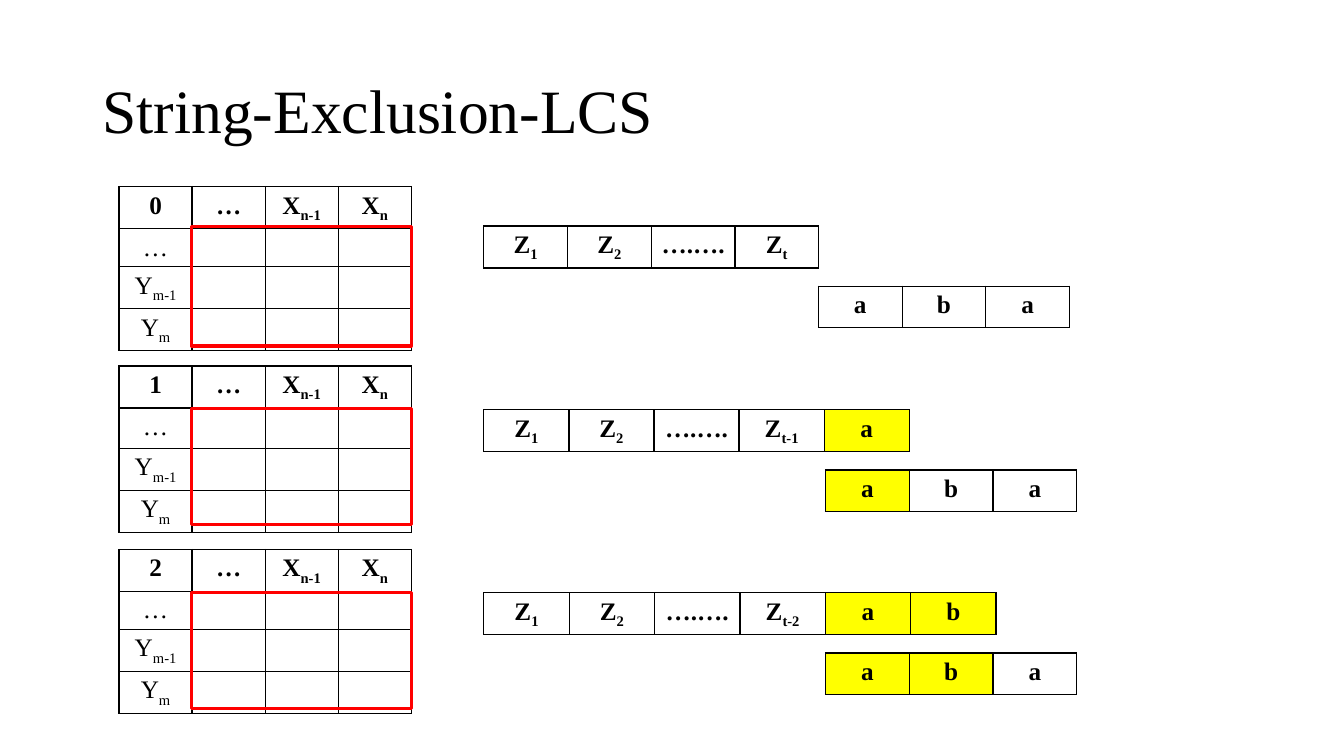
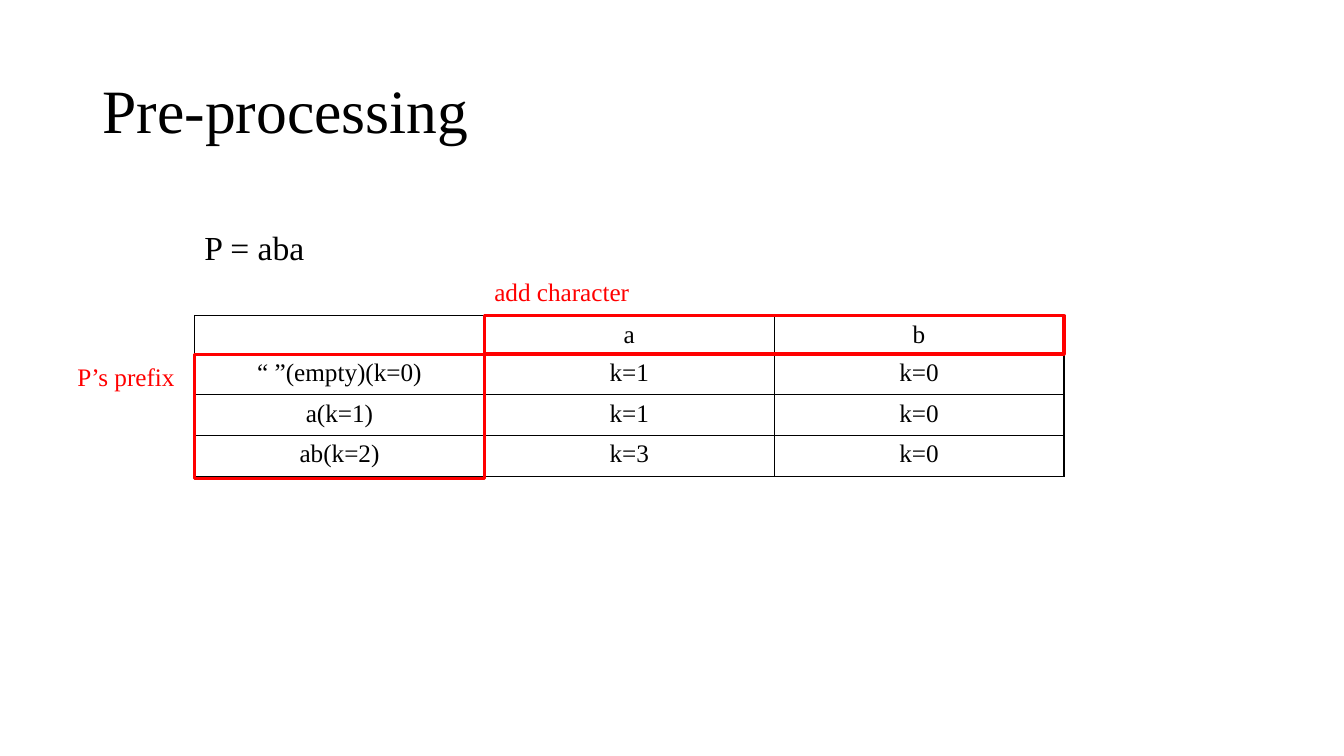
from dataclasses import dataclass

from lxml.etree import SubElement
from pptx import Presentation
from pptx.dml.color import RGBColor
from pptx.enum.shapes import MSO_SHAPE as SHAPE
from pptx.enum.text import MSO_ANCHOR as ANCHOR, MSO_AUTO_SIZE as AUTO, PP_ALIGN as ALIGN
from pptx.oxml.ns import qn
from pptx.util import Pt


@dataclass(frozen=True)
class Theme:
    font: str = "Times New Roman"
    ink: RGBColor = RGBColor(0, 0, 0)
    accent: RGBColor = RGBColor(255, 0, 0)
    match: RGBColor = RGBColor(255, 255, 0)
    title: int = 44
    lead: int = 24
    body: int = 18


class Deck:
    def __init__(self, theme):
        self.theme = theme
        self.prs = Presentation()
        self.prs.slide_width, self.prs.slide_height = Pt(960), Pt(540)
        self.s = None

    def slide(self, title):
        self.s = self.prs.slides.add_slide(self.prs.slide_layouts[5])
        sp = self.s.shapes.title
        sp.left, sp.top, sp.width, sp.height = Pt(66), Pt(28.8), Pt(828), Pt(104.4)
        tf = sp.text_frame
        tf.auto_size, tf.vertical_anchor = AUTO.NONE, ANCHOR.MIDDLE
        p = tf.paragraphs[0]
        p.alignment, p.line_spacing = ALIGN.LEFT, 0.9
        self.runs(p, title, self.theme.title)

    def runs(self, p, text, size, color=None, bold=False):
        """Write text into p; whatever follows an underscore is a subscript."""
        base, _, sub = text.partition("_")
        for part, shift in ((base, None), (sub, "-25000")):
            if part:
                r = p.add_run()
                r.text = part
                r.font.name, r.font.size, r.font.bold = self.theme.font, Pt(size), bold
                r.font.color.rgb = color or self.theme.ink
                if shift:
                    r._r.get_or_add_rPr().set("baseline", shift)

    def label(self, x, y, w, h, text, size, color=None):
        tf = self.s.shapes.add_textbox(Pt(x), Pt(y), Pt(w), Pt(h)).text_frame
        tf.word_wrap, tf.auto_size = False, AUTO.SHAPE_TO_FIT_TEXT
        self.runs(tf.paragraphs[0], text, size, color)

    def frame(self, x, y, w, h):
        sp = self.s.shapes.add_shape(SHAPE.RECTANGLE, Pt(x), Pt(y), Pt(w), Pt(h))
        sp.shadow.inherit = False
        sp.fill.background()
        sp.line.color.rgb, sp.line.width = self.theme.accent, Pt(2.25)

    def borders(self, cell):
        tcPr = cell._tc.get_or_add_tcPr()
        for side in ("lnL", "lnR", "lnT", "lnB"):
            ln = SubElement(tcPr, qn(f"a:{side}"), w=str(Pt(1)))
            fill = SubElement(ln, qn("a:solidFill"))
            SubElement(fill, qn("a:srgbClr"), val=str(self.theme.ink))

    def table(self, x, y, col_w, heights, rows, bold_head=False, marked=()):
        """Draw a ruled table; marked holds the columns with a highlight."""
        n = len(rows[0])
        tbl = self.s.shapes.add_table(len(rows), n, Pt(x), Pt(y),
                                      Pt(col_w * n), Pt(sum(heights))).table
        tbl.first_row = tbl.horz_banding = False
        for col in tbl.columns:
            col.width = Pt(col_w)
        for i, (row, height) in enumerate(zip(rows, heights)):
            tbl.rows[i].height = Pt(height)
            for j, text in enumerate(row):
                cell = tbl.cell(i, j)
                self.borders(cell)
                if j in marked:
                    cell.fill.solid()
                    cell.fill.fore_color.rgb = self.theme.match
                else:
                    cell.fill.background()
                p = cell.text_frame.paragraphs[0]
                p.alignment = ALIGN.CENTER
                self.runs(p, text, self.theme.body, bold=bold_head and i == 0)
                if not text:
                    end = SubElement(p._p, qn("a:endParaRPr"), sz=str(self.theme.body * 100))
                    SubElement(end, qn("a:latin"), typeface=self.theme.font)

    def strip(self, x, y, col_w, cells, marked=()):
        self.table(x, y, col_w, [29.5], [cells], bold_head=True, marked=marked)


def exclusion_slide(deck):
    deck.slide("String-Exclusion-LCS")
    pattern = ["a", "b", "a"]
    # grid top, row height, frame top, frame height, strip top, cell width, pattern left
    layers = [
        (133.2, 26, 161.5, 85.7, 161.5, 59.8, 584.6),
        (261.4, 28.8, 291.6, 82.8, 292.7, 60.8, 589.7),
        (392.4, 26, 423.4, 82.8, 423.4, 61, 589.7),
    ]
    for k, (top, row_h, frame_y, frame_h, strip_y, cell_w, pattern_x) in enumerate(layers):
        rows = [[str(k), "…", "X_n-1", "X_n"]]
        rows += [[head, "", "", ""] for head in ("…", "Y_m-1", "Y_m")]
        deck.table(85, top, 52.2, [row_h] * 4, rows, bold_head=True)
        deck.frame(136.8, frame_y, 157, frame_h)
        last = f"Z_t-{k}" if k else "Z_t"
        z_cells = ["Z_1", "Z_2", "….….", last]
        deck.strip(345.6, strip_y, cell_w, z_cells + pattern[:k], marked=range(4, 4 + k))
        deck.strip(pattern_x, strip_y + 43, 59.8, pattern, marked=range(k))


def preprocessing_slide(deck):
    t = deck.theme
    deck.slide("Pre-processing")
    left, top, col_w = 139, 225.4, 207
    deck.table(left, top, col_w, [24, 29.2, 29.2, 29.2], [
        ["", "a", "b"],
        ["“ ”(empty)(k=0)", "k=1", "k=0"],
        ["a(k=1)", "k=1", "k=0"],
        ["ab(k=2)", "k=3", "k=0"],
    ])
    deck.label(left, 158.4, 86.4, 36, "P = aba", t.lead)
    deck.frame(left, 253.2, col_w, 88.4)
    deck.label(48.2, 254.2, 85, 29, "P’s prefix", t.body, t.accent)
    deck.frame(left + col_w, top, 2 * col_w, 27.5)
    deck.label(left + col_w, 193.7, 116, 29, "add character", t.body, t.accent)


def main():
    deck = Deck(Theme())
    exclusion_slide(deck)
    preprocessing_slide(deck)
    deck.prs.save("out.pptx")


if __name__ == "__main__":
    main()
